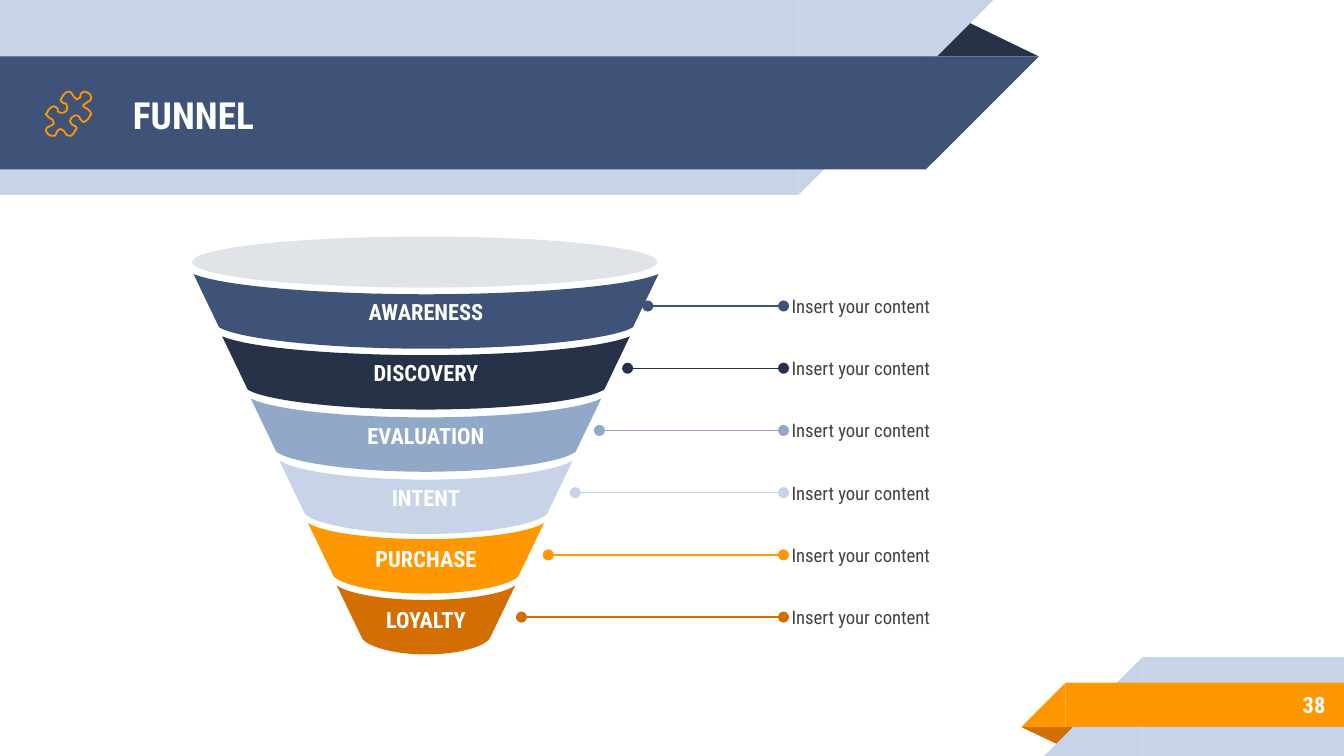
from pptx import Presentation
from pptx.dml.color import RGBColor
from pptx.enum.shapes import MSO_CONNECTOR, MSO_SHAPE
from pptx.enum.text import MSO_ANCHOR, PP_ALIGN
from pptx.oxml.ns import qn
from pptx.util import Inches, Pt
from lxml import etree

RECT, WEDGE = MSO_SHAPE.RECTANGLE, MSO_SHAPE.RIGHT_TRIANGLE
FOLD, OVAL = MSO_SHAPE.ISOSCELES_TRIANGLE, MSO_SHAPE.OVAL
STRAIGHT, MIDDLE = MSO_CONNECTOR.STRAIGHT, MSO_ANCHOR.MIDDLE
LEFT, CENTER, RIGHT = PP_ALIGN.LEFT, PP_ALIGN.CENTER, PP_ALIGN.RIGHT

NAVY = RGBColor(0x3F, 0x53, 0x78)
INK = RGBColor(0x26, 0x32, 0x48)
STEEL = RGBColor(0x92, 0xA8, 0xC8)
PALE = RGBColor(0xC7, 0xD3, 0xE6)
ORANGE = RGBColor(0xFF, 0x98, 0x00)
RUST = RGBColor(0xD2, 0x6F, 0x00)
MIST = RGBColor(0xE0, 0xE4, 0xE9)
GREY = RGBColor(0x43, 0x43, 0x43)
WHITE = RGBColor(0xFF, 0xFF, 0xFF)

# Square grid: 100 columns by 56.25 rows
CELL = Inches(0.1)
COLUMNS, ROWS = 100, 56.25


def write(shape, text, size, color, bold=True, align=LEFT, inset=(0, 0)):
    frame = shape.text_frame
    frame.word_wrap = True
    frame.vertical_anchor = MIDDLE
    frame.margin_left = frame.margin_right = int(inset[0] * CELL)
    frame.margin_top = frame.margin_bottom = int(inset[1] * CELL)
    paragraph = frame.paragraphs[0]
    paragraph.text = text
    paragraph.alignment = align
    font = paragraph.font
    font.name, font.size, font.bold = "Roboto Condensed", Pt(size), bold
    font.color.rgb = color


def sagging_arc(center, half, top, sag, pulls, drop, steps=16):
    """Points from left to right along two mirrored cubic curves."""
    side = []
    for step in range(steps + 1):
        t = step / steps
        a, b, c, d = (1 - t) ** 3, 3 * t * (1 - t) ** 2, 3 * t * t * (1 - t), t ** 3
        side.append((half * (a + b * pulls[0] + c * pulls[1]),
                     top + sag * (b * drop + c + d)))
    return ([(center - x, y) for x, y in side]
            + [(center + x, y) for x, y in reversed(side[:-1])])


deck = Presentation()
deck.slide_width, deck.slide_height = int(COLUMNS * CELL), int(ROWS * CELL)
slide = deck.slides.add_slide(deck.slide_layouts[6])
shapes = slide.shapes

# Header and footer ribbons: kind, left, top, width, height, colour, flip, rotation
ribbons = [
    (FOLD, 68.8, 1.4, 8.5, 2.8, INK, None, 0),
    (RECT, 0, 0, 59.4, 14.5, PALE, None, 0),
    (WEDGE, 59.4, 0, 14.5, 14.5, PALE, "flipH", 180),
    (RECT, 0, 4.2, 68.9, 8.4, NAVY, None, 0),
    (WEDGE, 68.9, 4.2, 8.4, 8.4, NAVY, "flipH", 180),
    (FOLD, 76, 54.1, 4.3, 1.4, RUST, None, 180),
    (RECT, 85, 48.9, 15, 7.35, PALE, None, 0),
    (WEDGE, 77.7, 48.9, 7.3, 7.35, PALE, "flipH", 0),
    (RECT, 79.3, 50.8, 20.7, 3.3, ORANGE, None, 0),
    (WEDGE, 76, 50.8, 3.3, 3.3, ORANGE, "flipH", 0),
]
for kind, left, top, width, height, color, flip, turn in ribbons:
    ribbon = shapes.add_shape(kind, *(int(v * CELL) for v in (left, top, width, height)))
    ribbon.shadow.inherit = False
    ribbon.fill.solid()
    ribbon.fill.fore_color.rgb = color
    ribbon.line.fill.background()
    ribbon.rotation = turn
    if kind == FOLD:
        ribbon.adjustments[0] = 0.32
    if flip:
        ribbon.element.spPr.find(qn("a:xfrm")).set(flip, "1")

# Title and page number
title = shapes.add_textbox(*(int(v * CELL) for v in (8.9, 4.3, 57.5, 8.4)))
write(title, "FUNNEL", 20, WHITE, inset=(1, 1))
page_number = shapes.add_textbox(*(int(v * CELL) for v in (83.3, 50.7, 16.3, 3.5)))
write(page_number, "38", 12, WHITE, align=RIGHT, inset=(1, 1))

# Funnel bands with callouts: label, colour, sag of the upper edge, callout start
stages = [
    ("AWARENESS", NAVY, 1.5, 48.2),
    ("DISCOVERY", INK, 1.4, 46.7),
    ("EVALUATION", STEEL, 1.4, 44.6),
    ("INTENT", PALE, 1.4, 42.8),
    ("PURCHASE", ORANGE, 1.2, 40.8),
    ("LOYALTY", RUST, 1.1, 38.8),
]
AXIS, PITCH, TAPER = 31.7, 4.63, 2.13
for row, (label, color, sag, callout_start) in enumerate(stages):
    top, half = 20.4 + row * PITCH, 17.3 - row * TAPER
    upper = sagging_arc(AXIS, half, top, sag, (0.86, 0.42), 0.64)
    lower = sagging_arc(AXIS, half - 1.9, top + 3.95, sag + 0.1, (0.93, 0.53), 0.47)
    outline = [(x * CELL, y * CELL) for x, y in upper + lower[::-1]]
    builder = shapes.build_freeform(*outline[0])
    builder.add_line_segments(outline[1:], close=True)
    band = builder.convert_to_shape()
    band.shadow.inherit = False
    band.fill.solid()
    band.fill.fore_color.rgb = color
    band.line.fill.background()
    write(band, label, 12, WHITE, align=CENTER, inset=(0.7, 0.4))

    level = int((22.77 + row * PITCH) * CELL)
    callout = shapes.add_connector(STRAIGHT, int(callout_start * CELL), level,
                                   int(58.3 * CELL), level)
    callout.line.color.rgb = color
    callout.line.width = Pt(0.75)
    stroke = callout.line._get_or_add_ln()
    for end in ("a:headEnd", "a:tailEnd"):
        etree.SubElement(stroke, qn(end), type="oval")
    etree.SubElement(callout.element.spPr, qn("a:effectLst"))

    content = shapes.add_textbox(int(58.9 * CELL), level - int(1.65 * CELL),
                                 int(26.7 * CELL), int(3.3 * CELL))
    write(content, "Insert your content", 10, GREY, bold=False)

# Funnel mouth
mouth = shapes.add_shape(OVAL, *(int(v * CELL) for v in (14.3, 17.6, 34.6, 3.8)))
mouth.shadow.inherit = False
mouth.fill.solid()
mouth.fill.fore_color.rgb = MIST
mouth.line.fill.background()

# Puzzle piece icon
puzzle = [
    (6.4, 7.7), (6.5, 7.6), (6.7, 7.5), (6.8, 7.3), (6.7, 7.0), (6.5, 6.9), (6.3, 6.8),
    (6.1, 6.9), (6.0, 7.0), (6.0, 7.2), (5.9, 7.3), (5.7, 7.4), (5.6, 7.3), (5.5, 7.2),
    (5.3, 6.9), (5.1, 6.8), (4.9, 6.9), (4.7, 7.1), (4.6, 7.3), (4.5, 7.4), (4.6, 7.6),
    (4.8, 7.7), (4.9, 7.7), (5.0, 7.9), (5.0, 8.1), (4.9, 8.3), (4.7, 8.4), (4.5, 8.4),
    (4.3, 8.3), (4.3, 8.1), (4.2, 8.0), (4.0, 7.9), (3.8, 8.0), (3.6, 8.2), (3.5, 8.4),
    (3.4, 8.5), (3.5, 8.6), (3.7, 8.8), (3.9, 8.9), (4.0, 9.1), (4.0, 9.2), (3.9, 9.3),
    (3.7, 9.4), (3.5, 9.5), (3.4, 9.7), (3.5, 9.9), (3.6, 10.0), (3.8, 10.1), (4.1, 10.1),
    (4.2, 9.9), (4.3, 9.7), (4.5, 9.6), (4.7, 9.7), (4.8, 9.8), (4.9, 10.0), (5.1, 10.1),
    (5.3, 10.1), (5.5, 9.9), (5.6, 9.7), (5.7, 9.6), (5.7, 9.5), (5.6, 9.4), (5.4, 9.3),
    (5.3, 9.2), (5.2, 9.0), (5.3, 8.8), (5.4, 8.7), (5.6, 8.6), (5.8, 8.6), (5.9, 8.7),
    (6.0, 8.9), (6.1, 9.0), (6.2, 9.1), (6.4, 9.0), (6.6, 8.8), (6.7, 8.6), (6.8, 8.5),
    (6.7, 8.3), (6.5, 8.1), (6.3, 8.0), (6.2, 7.9), (6.2, 7.8),
]
puzzle = [(x * CELL, y * CELL) for x, y in puzzle]
builder = shapes.build_freeform(*puzzle[0])
builder.add_line_segments(puzzle[1:], close=True)
icon = builder.convert_to_shape()
icon.shadow.inherit = False
icon.fill.background()
icon.line.color.rgb = ORANGE
icon.line.width = Pt(0.96)

deck.save("out.pptx")
